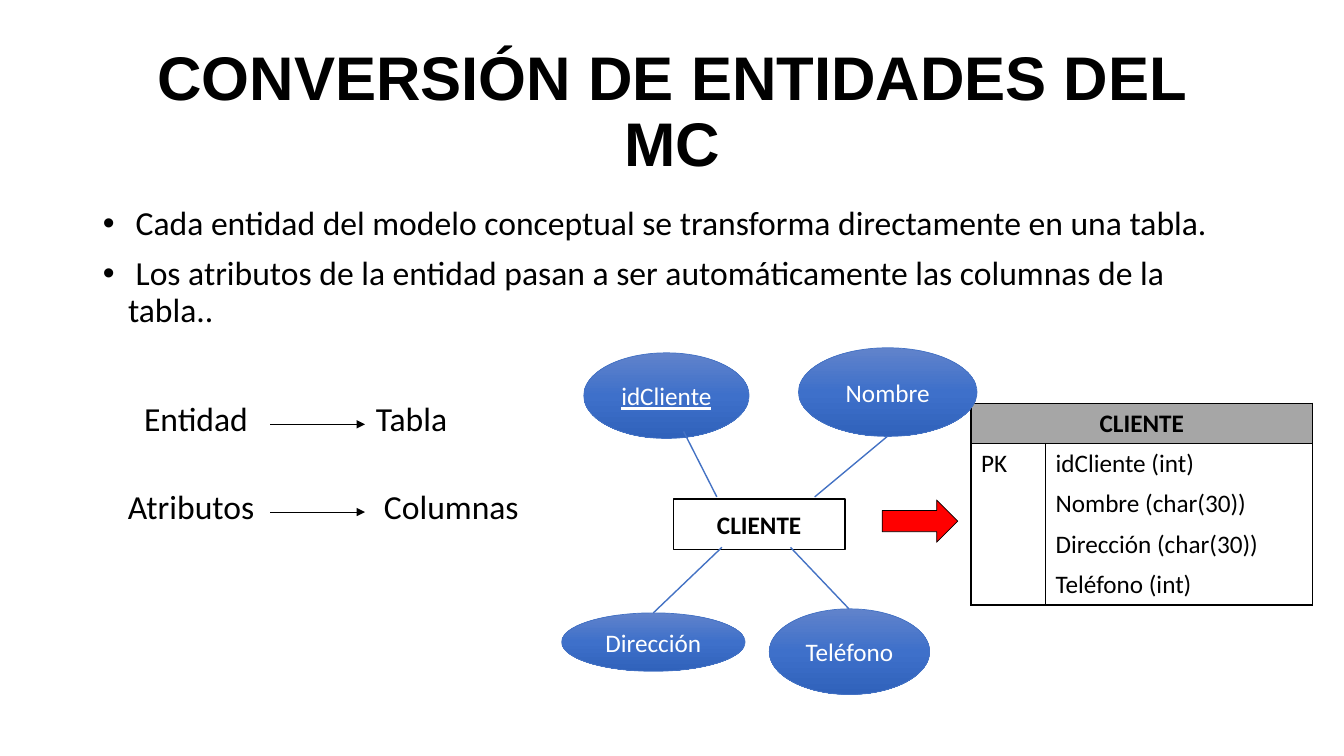
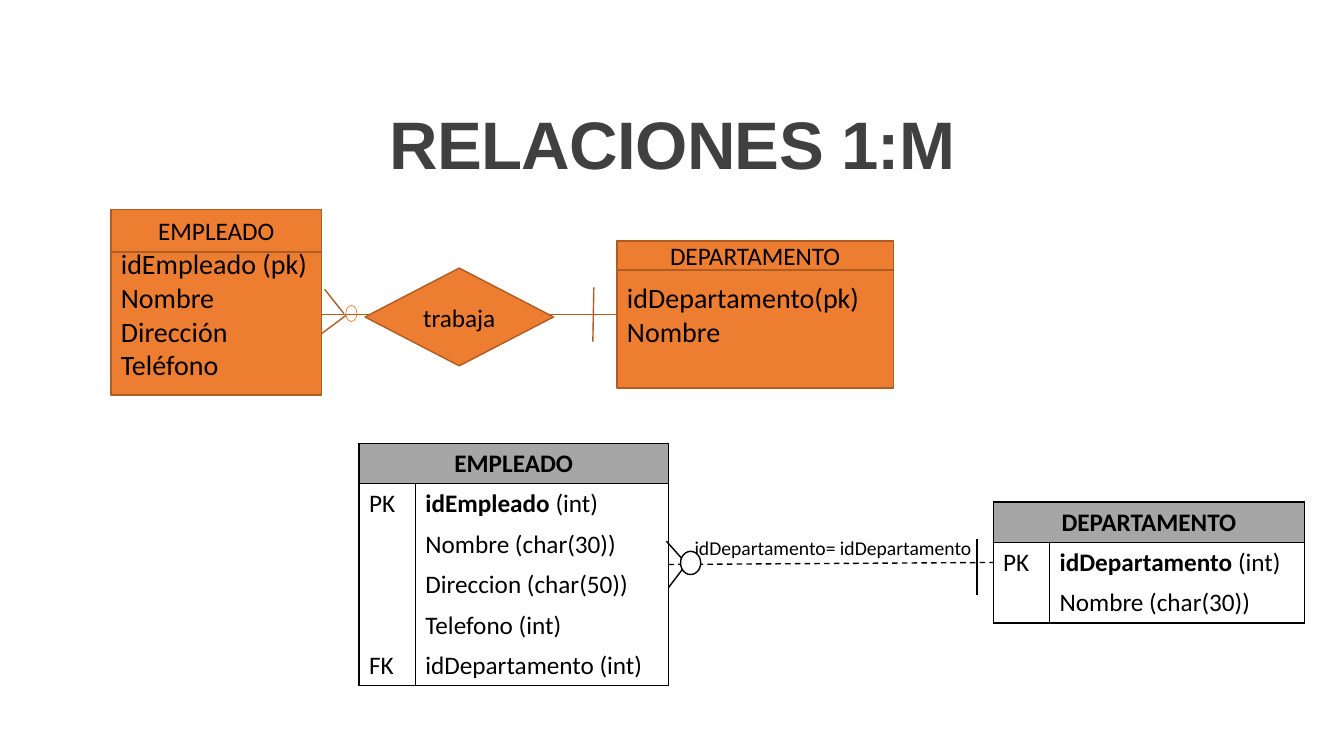
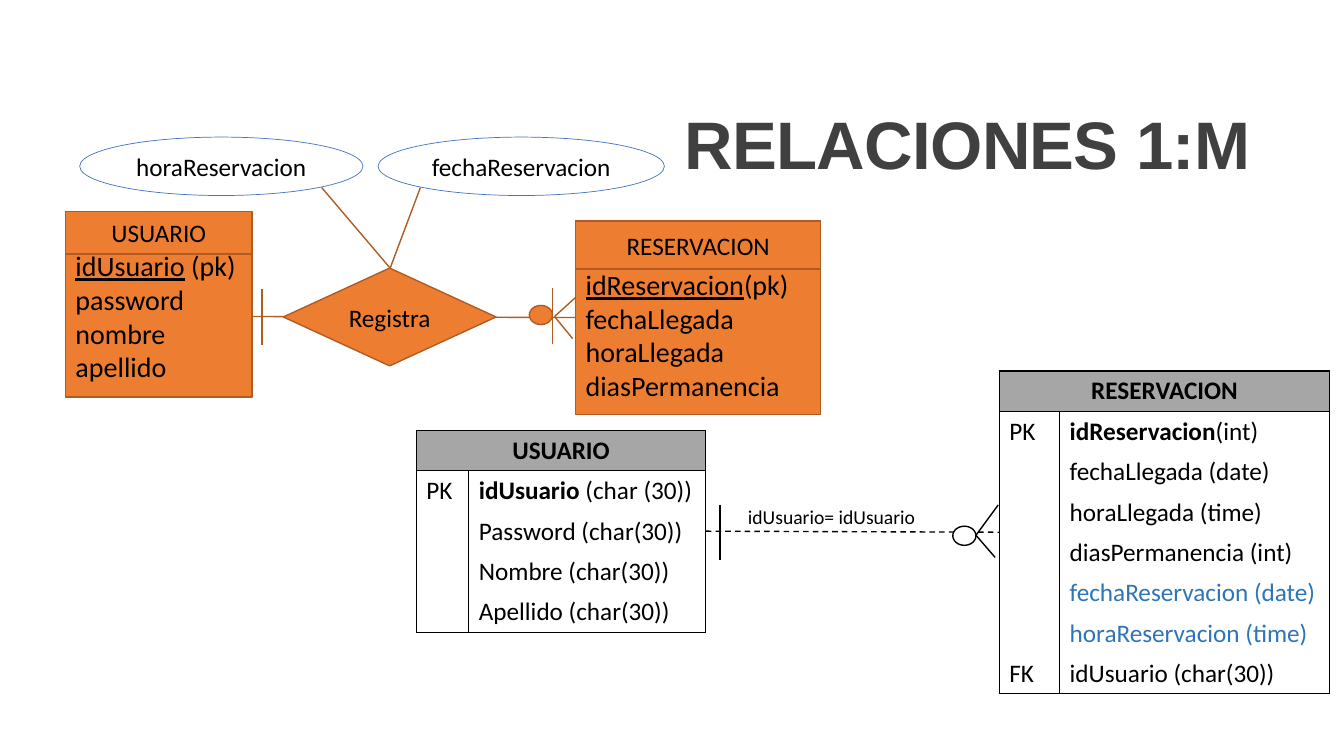
from dataclasses import dataclass

from lxml import etree
from pptx import Presentation
from pptx import util as u
from pptx.dml.color import RGBColor
from pptx.enum import dml, shapes, text
from pptx.oxml.ns import qn

PX = 9144  # 100 px to the inch


@dataclass(frozen=True)
class Theme:
    head: str = "Arial"
    body: str = "Calibri"
    ink: str = "000000"
    soft: str = "404040"
    paper: str = "FFFFFF"
    blue: str = "4472C4"
    fresh: str = "2E75B6"
    orange: str = "ED7D31"
    rust: str = "AF5C24"
    grey: str = "A6A6A6"
    red: str = "FF0000"
    shade: tuple = ((0, "6183CB"), (50, "3E70CA"), (100, "3062BB"))
    main: int = 44
    large: int = 48
    lead: int = 24
    field: int = 20
    base: int = 18
    note: int = 14


T = Theme()
FORM = shapes.MSO_SHAPE
MID = text.MSO_ANCHOR.MIDDLE
MIDDLE = text.PP_ALIGN.CENTER
LEFT = text.PP_ALIGN.LEFT


def px(*nums):
    return [u.Emu(n * PX) for n in nums]


def rgb(code):
    return RGBColor.from_string(code)


def bold(words):
    return words, {"bold": True}


def under(words):
    return words, {"underline": True}


def fresh(words):
    return words, {"color": T.fresh}


def style(font, size, color, name=T.body, **marks):
    font.name, font.size = name, u.Pt(size)
    font.color.rgb = rgb(color)
    font.bold = marks.get("bold", False)
    font.underline = marks.get("underline", False)


def write(frame, lines, size=T.base, color=T.ink, align=LEFT, **marks):
    """Fill a frame; a line is a list of runs, a run is a str or (str, marks)."""
    for num, runs in enumerate(lines):
        para = frame.add_paragraph() if num else frame.paragraphs[0]
        para.alignment = align
        for item in runs:
            words, own = (item, {}) if isinstance(item, str) else item
            run = para.add_run()
            run.text = words
            style(run.font, size, **{"color": color, **marks, **own})


def place(shape, at):
    shape.left, shape.top, shape.width, shape.height = px(*at)


def title(slide, words, at, size, color, anchor, space, track=0):
    shape = slide.shapes.title
    place(shape, at)
    frame = shape.text_frame
    frame.auto_size = text.MSO_AUTO_SIZE.NONE
    frame.word_wrap = True
    frame.vertical_anchor = anchor
    write(frame, [[words]], size, color, MIDDLE, name=T.head, bold=True)
    para = frame.paragraphs[0]
    para.line_spacing = space
    para.runs[0].font._element.set("spc", str(track))


def topic(slide, at):
    title(slide, "RELACIONES 1:M", at, T.large, T.soft,
          text.MSO_ANCHOR.BOTTOM, 0.85, -50)


def bullets(shape, at, lines):
    place(shape, at)
    frame = shape.text_frame
    frame.auto_size = text.MSO_AUTO_SIZE.NONE
    write(frame, [[line] for line in lines], T.lead)
    for num, para in enumerate(frame.paragraphs):
        para.line_spacing = 0.9
        para.space_before = u.Pt(10 if num else 0)
        props = para._p.get_or_add_pPr()
        props.set("marL", str(25 * PX))
        props.set("indent", str(-25 * PX))
        etree.SubElement(props, qn("a:buFont")).set("typeface", T.head)
        etree.SubElement(props, qn("a:buChar")).set("char", "•")


def label(slide, words, at, size):
    frame = slide.shapes.add_textbox(*px(*at)).text_frame
    frame.word_wrap = True
    write(frame, [[words]], size)


def shape(slide, form, at, fill, line, width=1.0):
    item = slide.shapes.add_shape(form, *px(*at))
    item.shadow.inherit = False
    if fill:
        item.fill.solid()
        item.fill.fore_color.rgb = rgb(fill)
    else:
        item.fill.background()
    item.line.color.rgb = rgb(line)
    item.line.width = u.Pt(width)
    item.text_frame.vertical_anchor = MID
    return item


def named(slide, form, at, words, fill, line, width=1.0, **marks):
    item = shape(slide, form, at, fill, line, width)
    write(item.text_frame, [[words]], align=MIDDLE, **marks)
    return item


def shaded(slide, at, words, **marks):
    item = named(slide, FORM.OVAL, at, words, T.blue, T.blue, 0.5,
                 color=T.paper, **marks)
    item.fill.gradient()
    item.fill.gradient_angle = 270
    stops = item._element.spPr.find(".//" + qn("a:gsLst"))
    for stop in list(stops):
        stops.remove(stop)
    for pos, code in T.shade:
        stop = etree.SubElement(stops, qn("a:gs"), pos=str(pos * 1000))
        etree.SubElement(stop, qn("a:srgbClr"), val=code)


def entity(slide, left, width, head, body, name, fields, inset=5):
    """Name band over a field box; head and body are (top, height)."""
    box = shape(slide, FORM.RECTANGLE, (left, body[0], width, body[1]),
                T.orange, T.rust)
    box.text_frame.margin_top = px(inset)[0]
    write(box.text_frame, fields, T.field)
    named(slide, FORM.RECTANGLE, (left, head[0], width, head[1]), name,
          T.orange, T.rust)


def links(slide, color, *ends, width=1.0, dash=False, arrow=False):
    for end in ends:
        link = slide.shapes.add_connector(shapes.MSO_CONNECTOR.STRAIGHT,
                                          *px(*end))
        link.line.color.rgb = rgb(color)
        link.line.width = u.Pt(width)
        if dash:
            link.line.dash_style = dml.MSO_LINE.DASH
        props = link._element.spPr
        if arrow:
            etree.SubElement(props.find(qn("a:ln")), qn("a:tailEnd"),
                             type="triangle")
        etree.SubElement(props, qn("a:effectLst"))


def edges(cell, sides):
    props = cell._tc.get_or_add_tcPr()
    for side in "LRTB":
        line = etree.SubElement(props, qn("a:ln" + side), w="12700")
        if side in sides:
            fill = etree.SubElement(line, qn("a:solidFill"))
            etree.SubElement(fill, qn("a:srgbClr"), val=T.ink)
        else:
            etree.SubElement(line, qn("a:noFill"))


def table(slide, left, top, cols, name, rows):
    """Relational table: name row, then rows of (key, runs...)."""
    count, tall = len(rows) + 1, 40
    frame = slide.shapes.add_table(
        count, 2, *px(left, top, sum(cols), tall * count))
    grid = frame.table
    grid._tbl.tblPr.find(qn("a:tableStyleId")).text = \
        "{2D5ABB26-0587-4C30-8999-92F81FD0307C}"
    grid.first_row = grid.horz_banding = False
    for col, wide in zip(grid.columns, cols):
        col.width = px(wide)[0]
    for row in range(count):
        grid.rows[row].height = px(tall)[0]
        sides = "LR" + ("TB" if row == 0 else "")
        sides += "T" if row == 1 else "B" if row == count - 1 else ""
        for col in range(2):
            cell = grid.cell(row, col)
            edges(cell, sides)
            cell.fill.solid()
            cell.fill.fore_color.rgb = rgb(T.paper if row else T.grey)
            if row:
                key, *runs = rows[row - 1]
                if col or key:
                    write(cell.text_frame, [runs if col else [key]])
                else:
                    cell.text_frame.paragraphs[0].font.size = u.Pt(T.base)
    grid.cell(0, 0).merge(grid.cell(0, 1))
    write(grid.cell(0, 0).text_frame, [[name]], align=MIDDLE, bold=True)


def entities(deck):
    slide = deck.slides.add_slide(deck.slide_layouts[1])
    title(slide, "CONVERSIÓN DE ENTIDADES DEL MC", (92, 40, 1150, 145),
          T.main, T.ink, MID, 0.9)
    bullets(slide.placeholders[1], (92, 200, 1150, 476), [
        " Cada entidad del modelo conceptual se transforma directamente"
        " en una tabla.",
        " Los atributos de la entidad pasan a ser automáticamente las"
        " columnas de la tabla.."])
    for top, left, source, right, target in (
            (477, 117, "Atributos", 371, "Columnas"),
            (390, 133, "Entidad", 363, "Tabla")):
        label(slide, source, (left, top, 152, 50), T.lead)
        label(slide, target, (right, top, 163, 50), T.lead)
        links(slide, T.ink, (268, top + 31, 362, top + 31),
              width=0.75, arrow=True)
    named(slide, FORM.RECTANGLE, (668, 495, 170, 50), "CLIENTE",
          T.paper, T.ink, bold=True)
    shape(slide, FORM.RIGHT_ARROW, (875, 496, 75, 42), T.red, T.ink, 0.5)
    table(slide, 963, 400, (74, 265), "CLIENTE", [
        ("PK", "idCliente (int)"),
        ("", "Nombre (char(30))"),
        ("", "Dirección (char(30))"),
        ("", "Teléfono (int)")])
    shaded(slide, (579, 350, 164, 85), "idCliente", underline=True)
    shaded(slide, (792, 345, 177, 88), "Nombre")
    shaded(slide, (557, 608, 182, 58), "Dirección")
    shaded(slide, (763, 604, 159, 85), "Teléfono")
    links(slide, T.blue, (648, 608, 716, 543), (842, 604, 784, 543),
          (711, 493, 678, 428), (808, 493, 880, 433))


def staff(deck):
    slide = deck.slides.add_slide(deck.slide_layouts[5])
    topic(slide, (67, 62, 1200, 125))
    entity(slide, 110, 209, (208, 42), (231, 161), "EMPLEADO",
           [["idEmpleado (pk)"], ["Nombre"], ["Dirección"], ["Teléfono"]])
    entity(slide, 612, 274, (239, 29), (239, 146), "DEPARTAMENTO",
           [["idDepartamento(pk)"], ["Nombre"]])
    links(slide, T.rust, (319, 312, 612, 312), (589, 285, 588, 339),
          (322, 287, 341, 311), (343, 313, 319, 331))
    named(slide, FORM.DIAMOND, (362, 266, 187, 97), "trabaja",
          T.orange, T.rust)
    label(slide, "idDepartamento= idDepartamento", (679, 527, 316, 34),
          T.note)
    table(slide, 356, 440, (56, 251), "EMPLEADO", [
        ("PK", bold("idEmpleado"), " (int)"),
        ("", "Nombre (char(30))"),
        ("", "Direccion (char(50))"),
        ("", "Telefono (int)"),
        ("FK", "idDepartamento (int)")])
    table(slide, 985, 498, (56, 253), "DEPARTAMENTO", [
        ("PK", bold("idDepartamento"), " (int)"),
        ("", "Nombre (char(30))")])
    links(slide, T.ink, (663, 560, 985, 558), dash=True)
    links(slide, T.ink, (969, 535, 969, 590), (661, 537, 678, 556),
          (679, 562, 663, 583))
    shape(slide, FORM.OVAL, (343, 303, 11, 16), None, T.orange, 0.5)
    shape(slide, FORM.OVAL, (675, 547, 20, 23), T.paper, T.ink)


def booking(deck):
    slide = deck.slides.add_slide(deck.slide_layouts[5])
    topic(slide, (652, 62, 615, 125))
    entity(slide, 65, 185, (210, 42), (233, 161), "USUARIO",
           [[under("idUsuario"), " (pk)"], ["password"], ["nombre"],
            ["apellido"]])
    entity(slide, 571, 243, (220, 47), (219, 192), "RESERVACION",
           [[under("idReservacion"), "(pk)"], ["fechaLlegada"],
            ["horaLlegada"], ["diasPermanencia"]], inset=39)
    links(slide, T.rust, (250, 314, 571, 315), (260, 287, 260, 342),
          (548, 286, 548, 341), (571, 295, 550, 314), (568, 336, 550, 314))
    named(slide, FORM.DIAMOND, (281, 266, 211, 97), "Registra",
          T.orange, T.rust)
    shape(slide, FORM.OVAL, (525, 303, 23, 19), T.orange, T.rust)
    for left, wide, words in ((375, 284, "fechaReservacion"),
                              (79, 281, "horaReservacion")):
        named(slide, FORM.OVAL, (left, 136, wide, 58), words,
              T.paper, T.blue, 0.5)
    links(slide, T.rust, (387, 266, 319, 186), (387, 266, 417, 186))
    label(slide, "idUsuario= idUsuario", (732, 496, 226, 34), T.note)
    table(slide, 413, 427, (52, 235), "USUARIO", [
        ("PK", bold("idUsuario"), " (char (30))"),
        ("", "Password (char(30))"),
        ("", "Nombre (char(30))"),
        ("", "Apellido (char(30))")])
    table(slide, 991, 368, (60, 268), "RESERVACION", [
        ("PK", bold("idReservacion"), "(int)"),
        ("", "fechaLlegada (date)"),
        ("", "horaLlegada (time)"),
        ("", "diasPermanencia (int)"),
        ("", fresh("fechaReservacion (date)")),
        ("", fresh("horaReservacion (time)")),
        ("FK", "idUsuario (char(30))")])
    links(slide, T.ink, (700, 527, 991, 528), dash=True)
    links(slide, T.ink, (714, 501, 714, 556), (990, 501, 968, 531),
          (987, 553, 968, 531))
    shape(slide, FORM.OVAL, (945, 522, 23, 19), T.paper, T.ink)


def main():
    deck = Presentation()
    deck.slide_width, deck.slide_height = px(1333, 750)
    entities(deck)
    staff(deck)
    booking(deck)
    deck.save("out.pptx")


if __name__ == "__main__":
    main()
